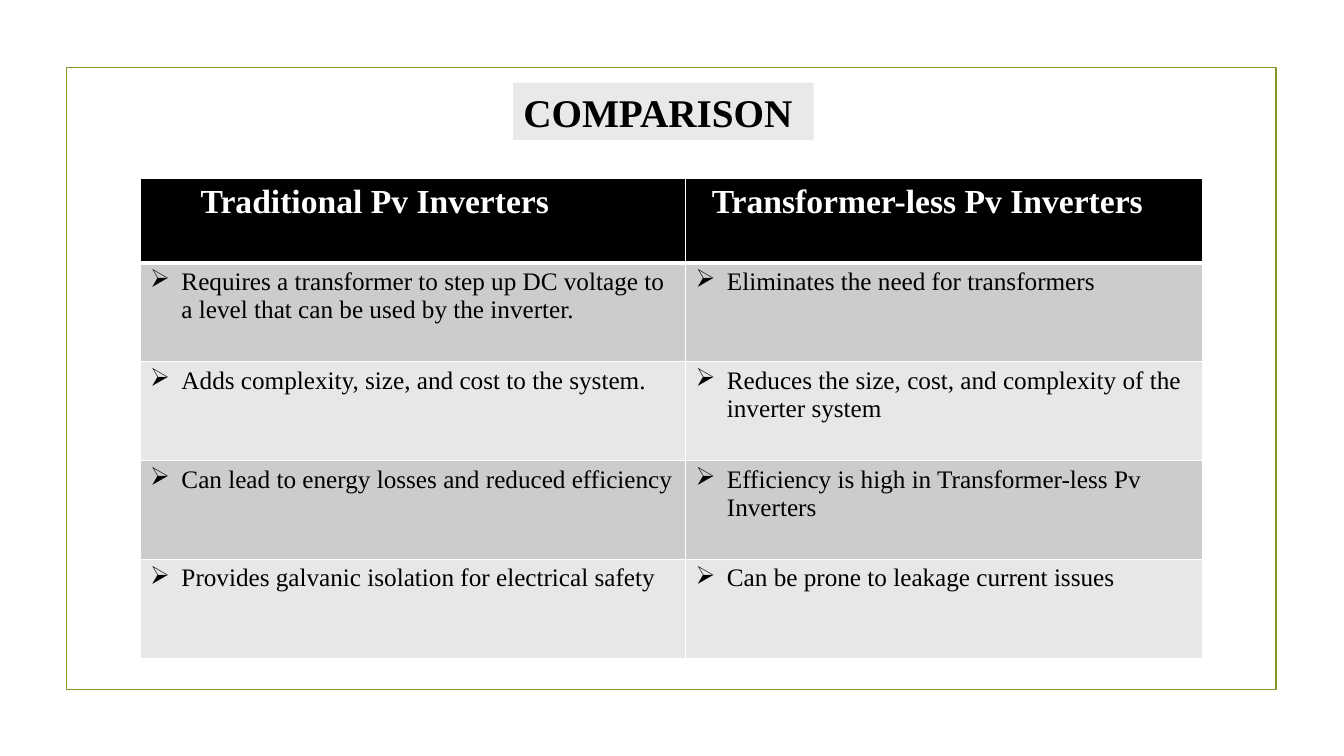
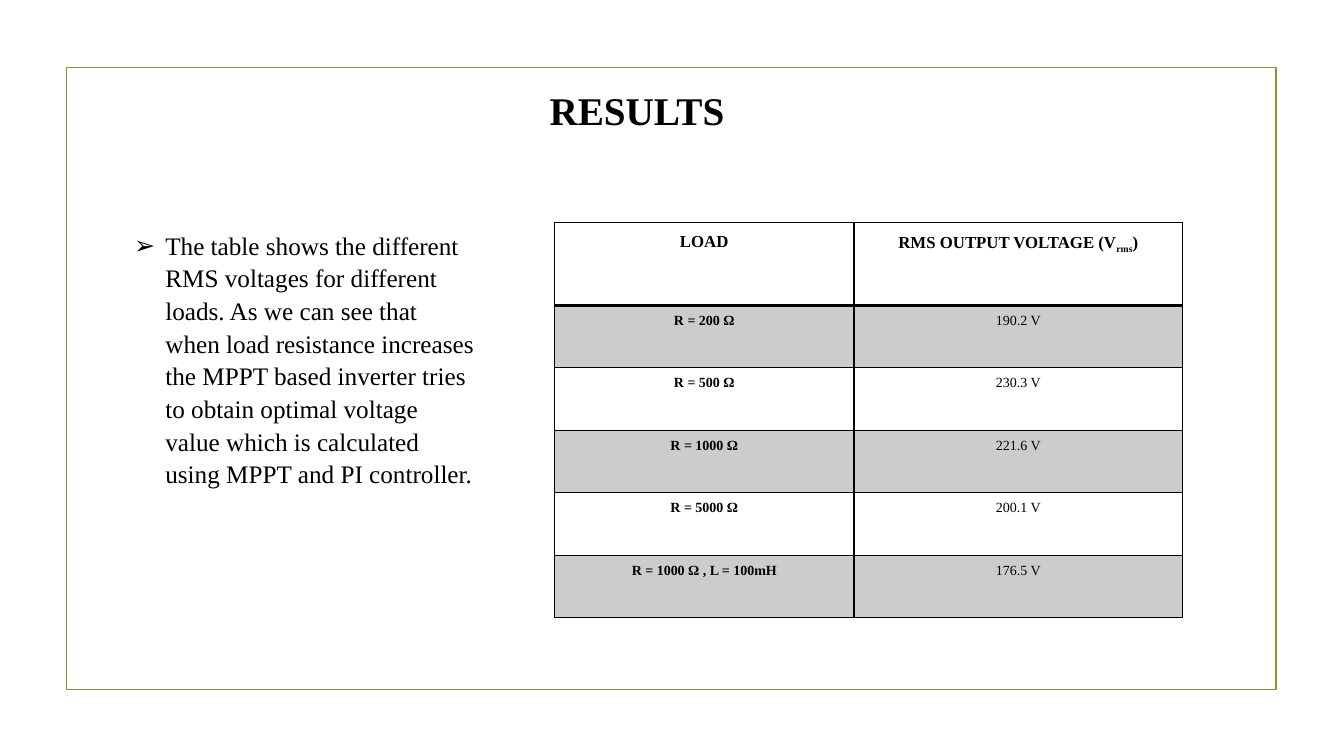
"""Build two framed slides on photovoltaic inverters: a comparison and a results table."""
from dataclasses import dataclass

from lxml import etree
from pptx import Presentation
from pptx.dml.color import RGBColor
from pptx.enum.shapes import MSO_SHAPE
from pptx.enum.text import MSO_ANCHOR, MSO_AUTO_SIZE, PP_ALIGN
from pptx.oxml.ns import qn
from pptx.util import Inches, Pt

RECTANGLE = MSO_SHAPE.RECTANGLE
TOP, MIDDLE = MSO_ANCHOR.TOP, MSO_ANCHOR.MIDDLE
NO_AUTOFIT = MSO_AUTO_SIZE.NONE
LEFT, CENTER = PP_ALIGN.LEFT, PP_ALIGN.CENTER


@dataclass(frozen=True)
class Theme:
    font: str = "Times New Roman"
    black: str = "000000"
    white: str = "FFFFFF"
    frame: str = "83992A"
    title_band: str = "E9E9E9"
    dark_band: str = "CCCCCC"
    light_band: str = "E7E7E7"
    title: int = 28
    heading: int = 24
    body: int = 18
    result_heading: int = 12
    result: int = 10


THEME = Theme()


def add_run(paragraph, text, size, color=THEME.black, bold=False):
    run = paragraph.add_run()
    run.text = text
    run.font.name = THEME.font
    run.font.size = Pt(size)
    run.font.bold = bold
    run.font.color.rgb = RGBColor.from_string(color)
    return run


def add_bullet(paragraph):
    properties = paragraph._p.get_or_add_pPr()
    properties.set("marL", str(Inches(0.31)))
    properties.set("indent", str(-Inches(0.31)))
    etree.SubElement(properties, qn("a:buChar")).set("char", "➢")


COMPARISON = {
    "at": (1.39, 1.77),
    "columns": (5.41, 5.13),
    "heights": (0.84, 0.98),
    "insets": (0.1, 0.05),
    "heading_indents": (0.6, 0.26),
    "sizes": (THEME.heading, THEME.body),
    "heading_colors": (THEME.black, THEME.white),
    "bands": (THEME.light_band, THEME.dark_band),
    "rule": (THEME.white, 3),
    "bulleted": True,
    "rows": (
        ("Traditional Pv Inverters", "Transformer-less Pv Inverters"),
        ("Requires a transformer to step up DC voltage to a level that can be used by the inverter.",
         "Eliminates the need for transformers"),
        ("Adds complexity, size, and cost to the system.",
         "Reduces the size, cost, and complexity of the inverter system"),
        ("Can lead to energy losses and reduced efficiency",
         "Efficiency is high in Transformer-less Pv Inverters"),
        ("Provides galvanic isolation for electrical safety",
         "Can be prone to leakage current issues"),
    ),
}
RESULTS = {
    "at": (5.5, 2.21),
    "columns": (2.97, 3.26),
    "heights": (0.82, 0.62),
    "insets": (0.07, 0),
    "heading_indents": (0.07, 0.07),
    "sizes": (THEME.result_heading, THEME.result),
    "heading_colors": (THEME.white, THEME.black),
    "bands": (THEME.white, THEME.dark_band),
    "rule": (THEME.black, 2),
    "bulleted": False,
    "rows": (
        ("LOAD", "RMS OUTPUT VOLTAGE (V_rms_)"),
        ("R = 200 Ω", "190.2 V"),
        ("R = 500 Ω", "230.3 V"),
        ("R = 1000 Ω", "221.6 V"),
        ("R = 5000 Ω", "200.1 V"),
        ("R = 1000 Ω , L = 100mH", "176.5 V"),
    ),
}

deck = Presentation()
deck.slide_width, deck.slide_height = Inches(13.33), Inches(7.5)
comparison_slide = deck.slides.add_slide(deck.slide_layouts[5])
results_slide = deck.slides.add_slide(deck.slide_layouts[1])

frame = comparison_slide.shapes.add_shape(
    RECTANGLE, Inches(0.66), Inches(0.67), Inches(12), Inches(6.17))
frame.shadow.inherit = False
frame.fill.background()
frame.line.color.rgb = RGBColor.from_string(THEME.frame)
frame.line.width = Pt(1.25)
deck.slide_master.element.cSld.spTree.insert(2, frame.element)

for slide, heading, left, top, width in (
    (comparison_slide, "COMPARISON", 5.09, 0.82, 2.98),
    (results_slide, "RESULTS", 5.35, 0.8, 2.11),
):
    title = slide.shapes.title
    title.left, title.top = Inches(left), Inches(top)
    title.width, title.height = Inches(width), Inches(0.57)
    title.text_frame.auto_size = NO_AUTOFIT
    title.text_frame.vertical_anchor = MIDDLE
    title.text_frame.paragraphs[0].alignment = LEFT
    add_run(title.text_frame.paragraphs[0], heading, THEME.title, bold=True)

comparison_title = comparison_slide.shapes.title
comparison_title.fill.solid()
comparison_title.fill.fore_color.rgb = RGBColor.from_string(THEME.title_band)

summary = results_slide.placeholders[1]
summary.left, summary.top = Inches(1.23), Inches(2.21)
summary.width, summary.height = Inches(3.59), Inches(2.83)
summary.text_frame.auto_size = NO_AUTOFIT
summary.text_frame.vertical_anchor = TOP
finding = summary.text_frame.paragraphs[0]
finding.space_before = Pt(0)
finding.line_spacing = 1.08
add_bullet(finding)
add_run(
    finding,
    "The table shows the different RMS voltages for different loads. As we can see that "
    "when load resistance increases the MPPT based inverter tries to obtain optimal voltage "
    "value which is calculated using MPPT and PI controller.",
    THEME.body)

for slide, design in ((comparison_slide, COMPARISON), (results_slide, RESULTS)):
    rows, columns = design["rows"], design["columns"]
    heading_height, row_height = design["heights"]
    left, top = design["at"]
    table = slide.shapes.add_table(
        len(rows), len(columns), Inches(left), Inches(top), Inches(sum(columns)),
        Inches(heading_height + row_height * (len(rows) - 1))).table
    table.horz_banding = False
    for column, width in zip(table.columns, columns):
        column.width = Inches(width)

    side, edge = design["insets"]
    rule_color, rule_width = design["rule"]
    heading_fill, heading_ink = design["heading_colors"]
    for row_index, texts in enumerate(rows):
        is_heading = row_index == 0
        table.rows[row_index].height = Inches(heading_height if is_heading else row_height)
        for column_index, text in enumerate(texts):
            cell = table.cell(row_index, column_index)
            indent = design["heading_indents"][column_index] if is_heading else side
            cell.margin_left, cell.margin_right = Inches(indent), Inches(side)
            cell.margin_top = cell.margin_bottom = Inches(edge)
            cell.fill.solid()
            cell.fill.fore_color.rgb = RGBColor.from_string(
                heading_fill if is_heading else design["bands"][row_index % 2])

            heavy_side = {0: "B", 1: "T"}.get(row_index)
            for position, border_side in enumerate("LRTB"):
                border = etree.Element(qn(f"a:ln{border_side}"))
                border.set("w", str(Pt(rule_width if border_side == heavy_side else 1)))
                ink = etree.SubElement(border, qn("a:solidFill"))
                etree.SubElement(ink, qn("a:srgbClr")).set("val", rule_color)
                cell._tc.get_or_add_tcPr().insert(position, border)

            paragraph = cell.text_frame.paragraphs[0]
            if not design["bulleted"]:
                paragraph.alignment = CENTER
                paragraph.line_spacing = 1.5
                paragraph.space_after = Pt(8)
            elif not is_heading:
                add_bullet(paragraph)
            size = design["sizes"][0 if is_heading else 1]
            color = heading_ink if is_heading else THEME.black
            bold = is_heading or (not design["bulleted"] and column_index == 0)
            for part_index, part in enumerate(text.split("_")):
                run = add_run(paragraph, part, size, color, bold)
                if part_index % 2:
                    run._r.get_or_add_rPr().set("baseline", "-25000")

deck.save("out.pptx")
